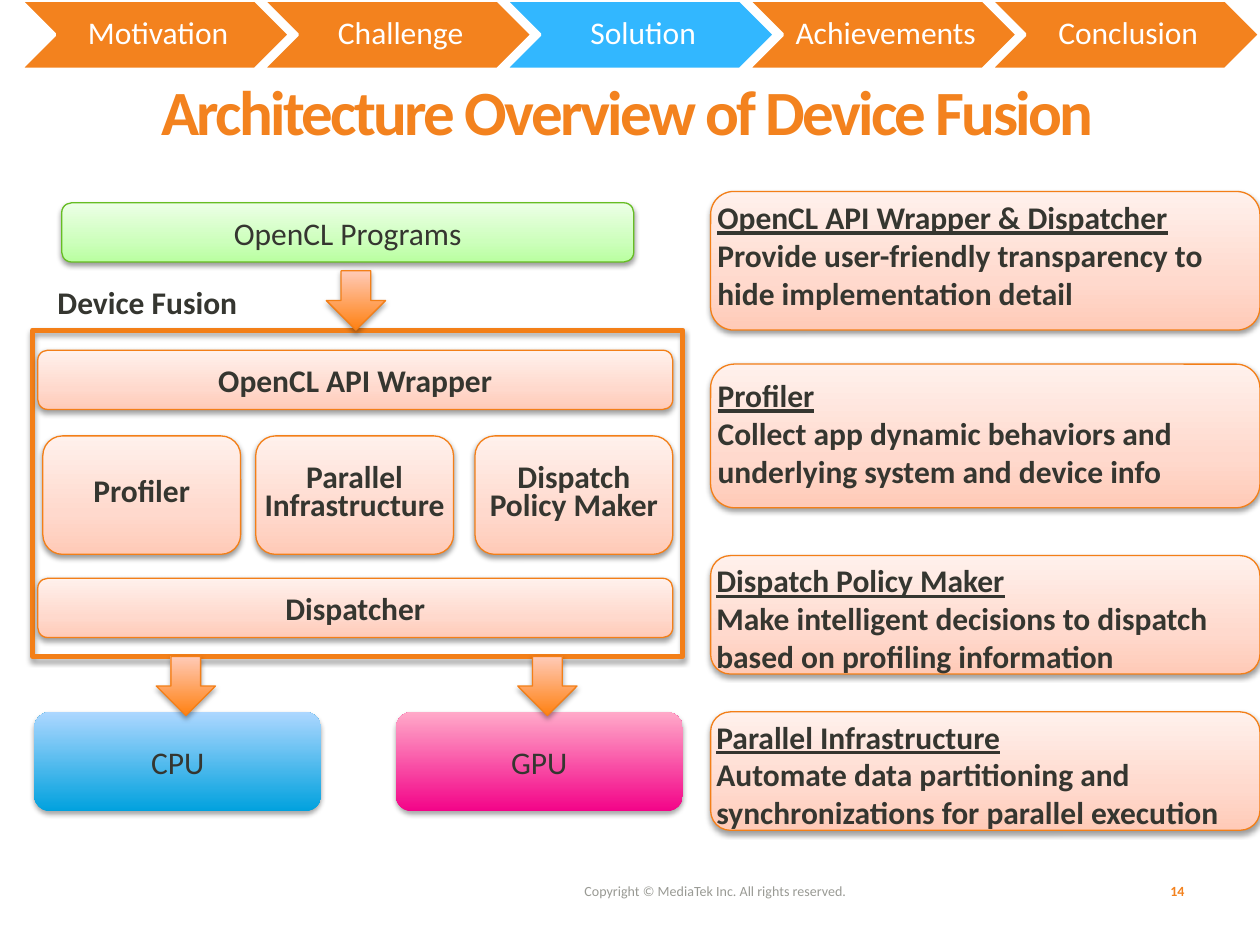
from lxml.etree import SubElement
from pptx import Presentation
from pptx.dml.color import RGBColor
from pptx.enum.shapes import MSO_SHAPE as Shape
from pptx.enum.text import MSO_ANCHOR as Anchor, MSO_AUTO_SIZE as AutoSize, PP_ALIGN as Align
from pptx.oxml.ns import qn
from pptx.util import Inches, Pt

FONT = "Calibri"
COLORS = {
    "orange": "F3821E", "outline": "F37F18", "active": "32B7FF", "white": "FFFFFF",
    "ink": "353630", "gray": "999A94", "green": "66BD23", "shadow": "000000",
}
# Gradient stops run from bottom to top: (percent, colour)
GRADIENTS = {
    "peach": [(0, "FFCAB7"), (35, "FFD9CD"), (100, "FFF1EC")],
    "green": [(0, "B9FFA0"), (35, "CDFFBC"), (100, "ECFFE6")],
    "blue": [(0, "00A1DE"), (100, "ADD7FF")],
    "pink": [(0, "F30388"), (100, "FFAAC9")],
    "arrow": [(0, "FF8112"), (100, "FFCAB7")],
}
STEPS = ["Motivation", "Challenge", "Solution", "Achievements", "Conclusion"]
# Panels: top, height, top inset, heading, description
PANELS = [
    (1.52, 1.1, 0, "OpenCL API Wrapper & Dispatcher",
     "Provide user-friendly transparency to hide implementation detail"),
    (2.89, 1.14, 0.04, "Profiler",
     "Collect app dynamic behaviors and underlying system and device info"),
    (4.41, 0.94, 0, "Dispatch Policy Maker",
     "Make intelligent decisions to dispatch based on profiling information"),
    (5.65, 0.94, 0, "Parallel Infrastructure",
     "Automate data partitioning and synchronizations for parallel execution"),
]


def rgb(name):
    return RGBColor.from_string(COLORS[name])


def set_gradient(shape, name):
    shape.fill.gradient()
    shape.fill.gradient_angle = 90
    stops = shape._element.spPr.find(qn("a:gradFill")).find(qn("a:gsLst"))
    for stop in list(stops):
        stops.remove(stop)
    for percent, color in GRADIENTS[name]:
        stop = SubElement(stops, qn("a:gs"), pos=str(percent * 1000))
        SubElement(stop, qn("a:srgbClr"), val=color)


def set_shadow(shape, opacity, distance):
    effects = shape._element.spPr.find(qn("a:effectLst"))
    shadow = SubElement(effects, qn("a:outerShdw"), blurRad=str(Pt(3.1)),
                        dist=str(Pt(distance)), dir="5400000", rotWithShape="0")
    color = SubElement(shadow, qn("a:srgbClr"), val=COLORS["shadow"])
    SubElement(color, qn("a:alpha"), val=str(opacity * 1000))


def set_line(shape, color, width):
    if color is None:
        shape.line.fill.background()
    else:
        shape.line.color.rgb = rgb(color)
        shape.line.width = Pt(width)


def set_insets(text_frame, left, top, right, bottom):
    text_frame.margin_left, text_frame.margin_top = Inches(left), Inches(top)
    text_frame.margin_right, text_frame.margin_bottom = Inches(right), Inches(bottom)


def write(text_frame, text, size=18, color="ink", bold=False, align=Align.CENTER,
          anchor=Anchor.MIDDLE, spacing=None):
    text_frame.text = text
    text_frame.vertical_anchor = anchor
    for paragraph in text_frame.paragraphs:
        paragraph.alignment = align
        paragraph.line_spacing = spacing
        for run in paragraph.runs:
            run.font.name = FONT
            run.font.size = Pt(size)
            run.font.bold = bold
            run.font.color.rgb = rgb(color)


def add_block(slide, kind, box, gradient=None, line="outline", width=0.75,
              opacity=35, distance=1.8):
    shape = slide.shapes.add_shape(kind, *map(Inches, box))
    shape.shadow.inherit = False
    if gradient:
        set_gradient(shape, gradient)
    else:
        shape.fill.background()
    set_line(shape, line, width)
    set_shadow(shape, opacity, distance)
    return shape


def add_card(slide, box, gradient="peach", line="outline"):
    return add_block(slide, Shape.ROUNDED_RECTANGLE, box, gradient, line,
                     opacity=38, distance=1.6)


def add_label(slide, box, text, wrap=True, **style):
    text_frame = slide.shapes.add_textbox(*map(Inches, box)).text_frame
    text_frame.word_wrap = wrap
    write(text_frame, text, **style)


def add_title(slide, text):
    title = slide.shapes.title
    title.left, title.top = Inches(0.48), Inches(0.64)
    title.width, title.height = Inches(9), Inches(0.85)
    title.text_frame.auto_size = AutoSize.NONE
    write(title.text_frame, text, 36, "orange", True, anchor=Anchor.TOP, spacing=0.8)
    run = title.text_frame.paragraphs[0].runs[0]
    run.font._element.set("spc", "-150")


def add_step(slide, index, text):
    box = (0.16 + 1.925 * index, 0, 2.14, 0.55)
    chevron = slide.shapes.add_shape(Shape.CHEVRON, *map(Inches, box))
    chevron.shadow.inherit = False
    chevron.fill.solid()
    chevron.fill.fore_color.rgb = rgb("active" if text == "Solution" else "orange")
    set_line(chevron, "white", 2)
    set_insets(chevron.text_frame, 0.08, 0.03, 0.03, 0.03)
    write(chevron.text_frame, text, color="white", spacing=0.9)
    chevron.text_frame.word_wrap = False


def add_panel(slide, top, height, inset, heading, description):
    panel = add_card(slide, (5.64, top, 4.36, height))
    set_insets(panel.text_frame, 0, inset, 0, 0)
    write(panel.text_frame, f"{heading}\n{description}", bold=True,
          align=Align.LEFT, anchor=Anchor.TOP)
    panel.text_frame.paragraphs[0].runs[0].font.underline = True


def add_architecture(slide):
    # Frame of the framework and the programs above it
    add_block(slide, Shape.RECTANGLE, (0.26, 2.62, 5.16, 2.59), width=3)
    programs = add_card(slide, (0.49, 1.61, 4.54, 0.47), "green", "green")
    write(programs.text_frame, "OpenCL Programs")
    add_label(slide, (0.35, 2.2, 1.64, 0.4), "Device Fusion", wrap=False,
              bold=True, anchor=Anchor.TOP)

    # Target devices
    for left, gradient, name in [(0.27, "blue", "CPU"), (3.14, "pink", "GPU")]:
        device = add_block(slide, Shape.ROUNDED_RECTANGLE, (left, 5.65, 2.28, 0.79),
                           gradient, line=None)
        write(device.text_frame, name)

    # Wide layers
    for top, name in [(2.78, "OpenCL API Wrapper"), (4.59, "Dispatcher")]:
        layer = add_card(slide, (0.3, top, 5.04, 0.47))
        write(layer.text_frame, name, bold=True)

    # Components between the layers
    for left, name in [(0.34, "Profiler"), (2.03, "Parallel Infrastructure"),
                       (3.77, "Dispatch Policy Maker")]:
        component = add_card(slide, (left, 3.46, 1.57, 0.94))
        set_insets(component.text_frame, 0, 0, 0, 0)
        write(component.text_frame, name, bold=True, spacing=Pt(16))

    # Flow arrows
    for left, top in [(2.59, 2.15), (1.24, 5.21), (4.11, 5.21)]:
        add_block(slide, Shape.DOWN_ARROW, (left, top, 0.47, 0.47), "arrow")


def main():
    presentation = Presentation()
    presentation.slide_width, presentation.slide_height = Inches(10), Inches(7.5)
    slide = presentation.slides.add_slide(presentation.slide_layouts[5])

    add_title(slide, "Architecture Overview of Device Fusion")
    add_architecture(slide)
    for index, step in enumerate(STEPS):
        add_step(slide, index, step)
    for panel in PANELS:
        add_panel(slide, *panel)

    # Footer
    add_label(slide, (4.54, 6.87, 3.32, 0.4), "Copyright © MediaTek Inc. All rights reserved.",
              size=8, color="gray", align=Align.LEFT)
    add_label(slide, (8.34, 6.87, 1.16, 0.4), "14", size=8, color="orange",
              bold=True, align=Align.RIGHT)
    presentation.save("out.pptx")


if __name__ == "__main__":
    main()
